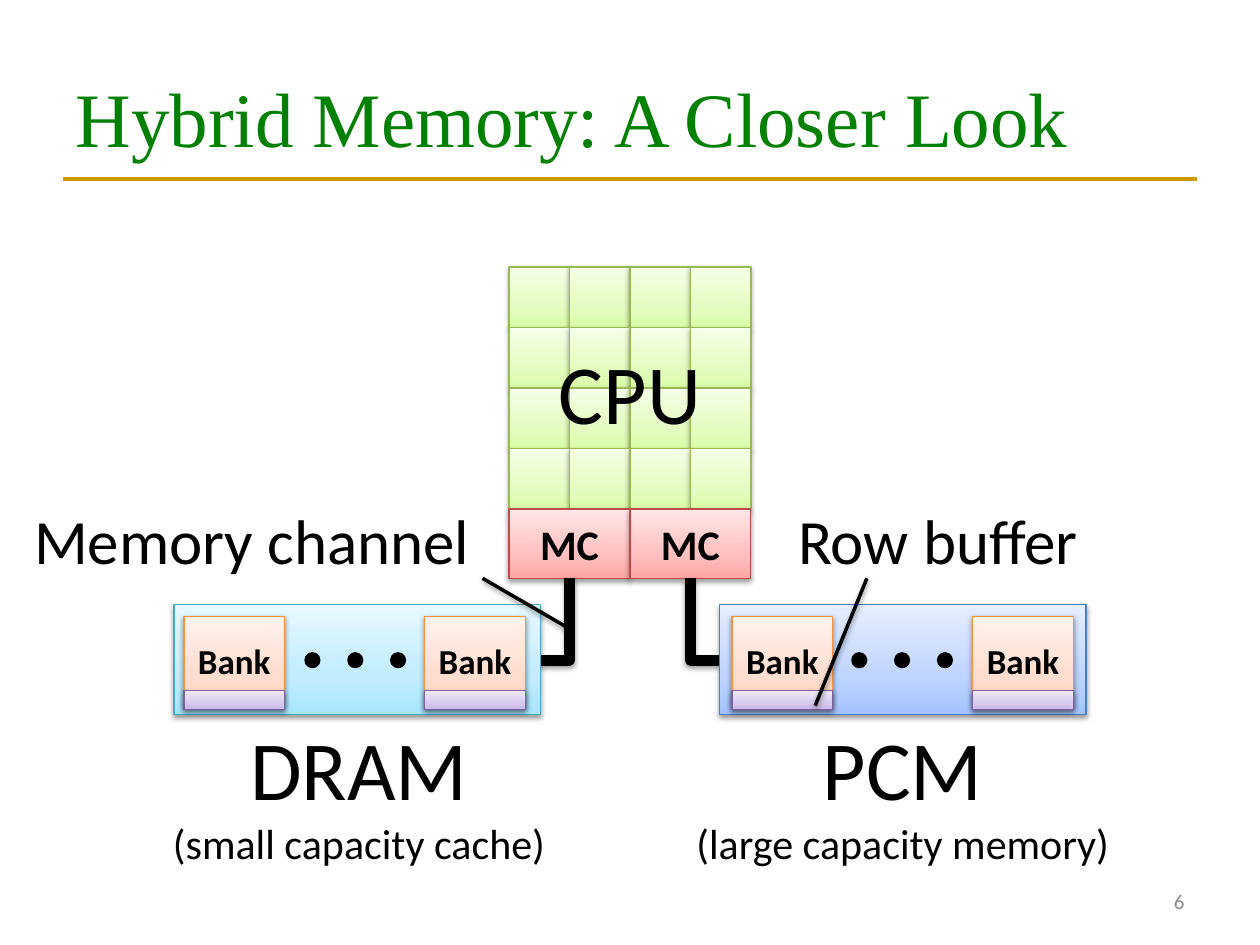
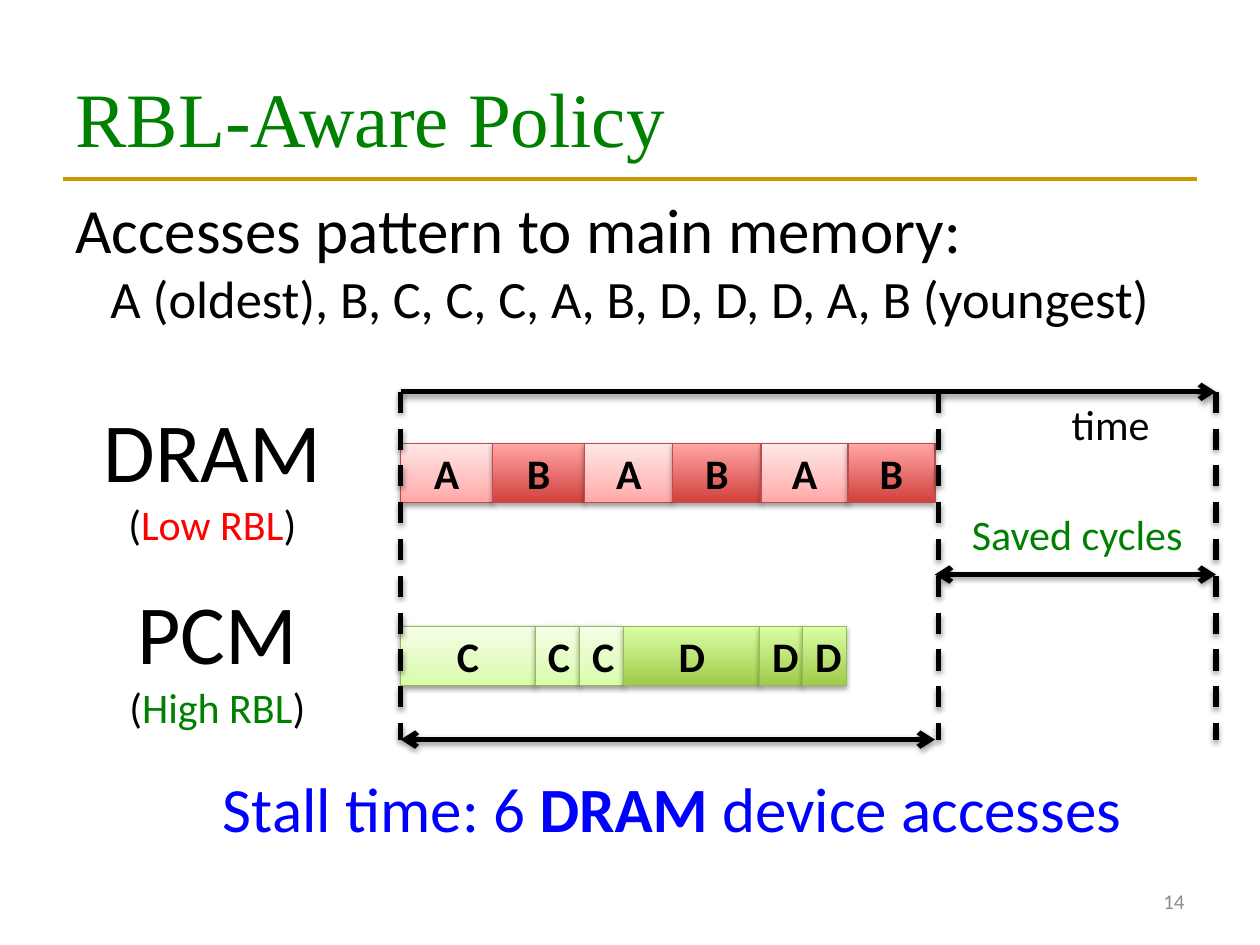
from itertools import product

from lxml import etree
from pptx import Presentation
from pptx.dml.color import RGBColor
from pptx.enum.dml import MSO_LINE
from pptx.enum.shapes import MSO_CONNECTOR, MSO_SHAPE
from pptx.enum.text import MSO_ANCHOR, MSO_AUTO_SIZE, PP_ALIGN
from pptx.oxml.ns import qn
from pptx.util import Inches, Pt

RECT, OVAL = MSO_SHAPE.RECTANGLE, MSO_SHAPE.OVAL
STRAIGHT, ELBOW = MSO_CONNECTOR.STRAIGHT, MSO_CONNECTOR.ELBOW
LEFT, CENTER, RIGHT = PP_ALIGN.LEFT, PP_ALIGN.CENTER, PP_ALIGN.RIGHT
MIDDLE = MSO_ANCHOR.MIDDLE


class Theme:
    title_font, body_font = "Times New Roman", "Calibri"
    black, green, red, blue = "000000", "008000", "FF0000", "0000FF"
    gold, gray = "CC9900", "8C8C8C"
    title, huge, large, medium = 44, 48, 36, 30
    normal, bank, number = 24, 20, 12
    # Outline colour, then gradient stops (percent, colour) from bottom to top
    fills = {
        "light green": ("98B955", [(0, "DAFDA7"), (35, "E4FCC2"), (100, "F5FFE7")]),
        "deep green": ("98B955", [(0, "A0CA4A"), (100, "DAFFA5")]),
        "light red": ("BF4C48", [(0, "FFA6A5"), (35, "FFC0BF"), (100, "FFE7E7")]),
        "deep red": ("BF4C48", [(0, "D1403C"), (100, "FFA6A5")]),
        "cyan": ("46AAC5", [(0, "A7E6FF"), (35, "C1EDFF"), (100, "E7F8FF")]),
        "blue": ("4B7EBC", [(0, "A4C4FF"), (35, "BFD4FF"), (100, "E6EEFF")]),
        "orange": ("F69240", [(0, "FFD2BD"), (35, "FFDED0"), (100, "FFF2ED")]),
        "purple": ("7D60A0", [(0, "C9B5E8"), (35, "D8CBEE"), (100, "F0EAF9")]),
    }


T = Theme

# Slide 1: text boxes are (box, paragraphs); a run is (text, size[, colour[, bold]])
CORE_LEFT, CORE_TOP, CORE_SIZE, CORES_PER_SIDE = 4.04, 2.12, 0.48, 4
CONTROLLERS = [4.04, 5.0]
MODULES = [  # left, fill, first bank, first dot, channel start x, channel end x
    (1.38, "cyan", 1.46, 2.43, 4.52, 4.29),
    (5.71, "blue", 5.81, 6.77, 5.48, 5.71),
]
BANK_STEP, DOT_STEP = 1.91, 0.34
POINTERS = [(4.52, 4.99, 3.83, 4.59), (6.47, 5.6, 6.88, 4.59)]
MEMORY_LABELS = [
    ((4.33, 2.65, 1.34, 0.91), [[("CPU", T.huge)]]),
    ((0.12, 3.93, 3.76, 0.71), [[("Memory channel", T.large)]]),
    ((6.21, 3.93, 2.47, 0.71), [[("Row buffer", T.large)]]),
    ((1.26, 5.64, 3.18, 1.31),
     [[("DRAM", T.huge)], [("(small capacity cache)", T.normal)]]),
    ((5.41, 5.64, 3.51, 1.31),
     [[("PCM", T.huge)], [("(large capacity memory)", T.normal)]]),
]

# Slide 2
START, DRAM_END, OLD_END = 3.18, 7.45, 9.65
AXIS_TOP, AXIS_BOTTOM = 3.11, 5.87
SPAN_END, SAVED_Y = 7.42, 4.56
ACCESS_FILLS = {"A": "light red", "B": "deep red",
                "C": "light green", "D": "deep green"}
TIMELINES = [  # top, accesses as (row, duration)
    (3.52, [("A", 0.73), ("B", 0.73), ("A", 0.7),
            ("B", 0.7), ("A", 0.69), ("B", 0.69)]),
    (4.97, [("C", 1.07), ("C", 0.35), ("C", 0.35),
            ("D", 1.08), ("D", 0.34), ("D", 0.35)]),
]
POLICY_LABELS = [
    ((0.71, 3.11, 1.95, 1.31),
     [[("DRAM", T.huge)],
      [("(", T.normal), ("Low RBL", T.normal, T.red), (")", T.normal)]]),
    ((0.92, 4.56, 1.61, 1.31),
     [[("PCM", T.huge)],
      [("(", T.normal), ("High RBL", T.normal, T.green), (")", T.normal)]]),
    ((1.65, 6.06, 7.37, 0.71),
     [[("Stall time: 6 ", T.large, T.blue), ("DRAM", T.large, T.blue, True),
       (" device accesses", T.large, T.blue)]]),
    ((7.6, 3.99, 1.9, 0.5), [[("Saved cycles", T.normal, T.green)]]),
    ((8.4, 3.11, 0.83, 0.5), [[("time", T.normal)]]),
]
PATTERN_BOX = (0.5, 1.46, 9, 1.21)
PATTERN = [
    [("Accesses pattern to main memory:", T.large)],
    [("A (oldest), B, C, C, C, A, B, D, D, D, A, B (youngest)", T.medium)],
]


def rgb(color):
    return RGBColor.from_string(color)


def inches(values):
    return [Inches(v) for v in values]


def child(parent, tag, **attrs):
    return etree.SubElement(parent, qn(tag), {k: str(v) for k, v in attrs.items()})


def set_font(font, size, color=T.black, bold=False, name=T.body_font):
    font.name, font.size, font.bold = name, Pt(size), bold
    font.color.rgb = rgb(color)


def add_shadow(effects, alpha=38, dist=1.6):
    shadow = child(effects, "a:outerShdw", blurRad=Pt(3.1), dist=Pt(dist),
                   dir=90 * 60000, rotWithShape=0)
    child(child(shadow, "a:srgbClr", val=T.black), "a:alpha", val=alpha * 1000)


def add_block(slide, box, fill, text="", size=T.normal):
    """Draw a gradient rectangle with a soft shadow and an optional bold label."""
    outline, stops = T.fills[fill]
    sp = slide.shapes.add_shape(RECT, *inches(box))
    props = sp._element.spPr
    grad = child(props, "a:gradFill", rotWithShape=1)
    stop_list = child(grad, "a:gsLst")
    for position, color in stops:
        stop = child(stop_list, "a:gs", pos=position * 1000)
        child(stop, "a:srgbClr", val=color)
    child(grad, "a:lin", ang=270 * 60000, scaled=0)
    sp.line.color.rgb, sp.line.width = rgb(outline), Pt(0.75)
    sp.shadow.inherit = False
    deep = len(stops) == 2
    add_shadow(props.find(qn("a:effectLst")), 35 if deep else 38, 1.8 if deep else 1.6)
    if text:
        tf = sp.text_frame
        tf.vertical_anchor = MIDDLE
        p = tf.paragraphs[0]
        p.text, p.alignment = text, CENTER
        set_font(p.font, size, bold=True)


def add_dot(slide, x, y, size=0.1):
    sp = slide.shapes.add_shape(OVAL, *inches((x, y, size, size)))
    sp.shadow.inherit = False
    sp.fill.solid()
    sp.fill.fore_color.rgb = sp.line.color.rgb = rgb(T.black)
    sp.line.width = Pt(2)


def add_line(slide, ends, width, color=T.black, kind=STRAIGHT, dash=False,
             arrows=(), shadow=True):
    """Draw a connector; arrows names its arrowheads among headEnd and tailEnd."""
    line = slide.shapes.add_connector(kind, *inches(ends))
    line.line.color.rgb, line.line.width = rgb(color), Pt(width)
    if dash:
        line.line.dash_style = MSO_LINE.DASH
    props = line._element.spPr
    for end in arrows:
        child(props.find(qn("a:ln")), f"a:{end}", type="arrow")
    effects = child(props, "a:effectLst")
    if shadow:
        add_shadow(effects)
    return line


def add_channel(slide, x1, y1, x2, y2):
    """Draw a one-bend connector that goes down first, then sideways."""
    half_w, half_h = (y2 - y1) / 2, abs(x2 - x1) / 2
    cx, cy = (x1 + x2) / 2, (y1 + y2) / 2
    side = 1 if x2 < x1 else -1
    ends = (cx - side * half_w, cy - half_h, cx + side * half_w, cy + half_h)
    line = add_line(slide, ends, 6, kind=ELBOW)
    props = line._element.spPr
    props.find(qn("a:xfrm")).set("rot", str((90 if side == 1 else 270) * 60000))
    props.find(qn("a:prstGeom")).set("prst", "bentConnector2")


def add_text(slide, box, paragraphs, aligns=(CENTER, CENTER), wrap=False):
    tf = slide.shapes.add_textbox(*inches(box)).text_frame
    tf.word_wrap = wrap
    tf.auto_size = MSO_AUTO_SIZE.SHAPE_TO_FIT_TEXT
    for i, (runs, align) in enumerate(zip(paragraphs, aligns)):
        p = tf.add_paragraph() if i else tf.paragraphs[0]
        p.alignment = align
        for text, *style in runs:
            r = p.add_run()
            r.text = text
            set_font(r.font, *style)
    return tf


def add_slide(prs, title, number):
    slide = prs.slides.add_slide(prs.slide_layouts[5])
    add_line(slide, (0.5, 1.42, 9.5, 1.42), 2.25, T.gold, shadow=False)
    sp = slide.shapes.title
    sp.left, sp.top, sp.width, sp.height = inches((0.5, 0.3, 9, 1.25))
    tf = sp.text_frame
    tf.text, tf.vertical_anchor = title, MIDDLE
    p = tf.paragraphs[0]
    p.alignment = LEFT
    set_font(p.font, T.title, T.green, name=T.title_font)
    tf = add_text(slide, (7.17, 6.95, 2.33, 0.4),
                  [[(str(number), T.number, T.gray)]], [RIGHT], wrap=True)
    tf.auto_size, tf.vertical_anchor = MSO_AUTO_SIZE.NONE, MIDDLE
    return slide


def build_memory_slide(prs):
    slide = add_slide(prs, "Hybrid Memory: A Closer Look", 6)
    for row, col in product(range(CORES_PER_SIDE), repeat=2):
        add_block(slide, (CORE_LEFT + col * CORE_SIZE, CORE_TOP + row * CORE_SIZE,
                          CORE_SIZE, CORE_SIZE), "light green")
    for x in CONTROLLERS:
        add_block(slide, (x, 4.04, 0.96, 0.55), "light red", "MC")
    for left, fill, bank, dot, channel_x, module_x in MODULES:
        add_channel(slide, channel_x, 4.59, module_x, 5.24)
        add_block(slide, (left, 4.8, 2.91, 0.87), fill)
        for x in (bank, bank + BANK_STEP):
            add_block(slide, (x, 4.89, 0.8, 0.71), "orange", "Bank", T.bank)
            add_block(slide, (x, 5.48, 0.8, 0.15), "purple")
        for i in range(3):
            add_dot(slide, dot + i * DOT_STEP, 5.19)
    for ends in POINTERS:
        add_line(slide, ends, 2)
    for box, paragraphs in MEMORY_LABELS:
        add_text(slide, box, paragraphs)


def build_policy_slide(prs):
    slide = add_slide(prs, "RBL-Aware Policy", 14)
    add_text(slide, PATTERN_BOX, PATTERN, (LEFT, CENTER), wrap=True)
    for top, accesses in TIMELINES:
        x = START
        for name, duration in accesses:
            add_block(slide, (x, top, duration, 0.47), ACCESS_FILLS[name], name)
            x += duration
    for x in (START, DRAM_END, OLD_END):
        add_line(slide, (x, AXIS_TOP, x, AXIS_BOTTOM), 3, dash=True)
    both = ("headEnd", "tailEnd")
    for x1, x2, y, arrows in [(START, SPAN_END, AXIS_BOTTOM, both),
                              (SPAN_END, OLD_END, SAVED_Y, both),
                              (START, OLD_END, AXIS_TOP, both[1:])]:
        add_line(slide, (x1, y, x2, y), 3, arrows=arrows)
    for box, paragraphs in POLICY_LABELS:
        add_text(slide, box, paragraphs)


def main():
    prs = Presentation()
    prs.slide_width, prs.slide_height = Inches(10), Inches(7.5)
    build_memory_slide(prs)
    build_policy_slide(prs)
    prs.save("out.pptx")


if __name__ == "__main__":
    main()
